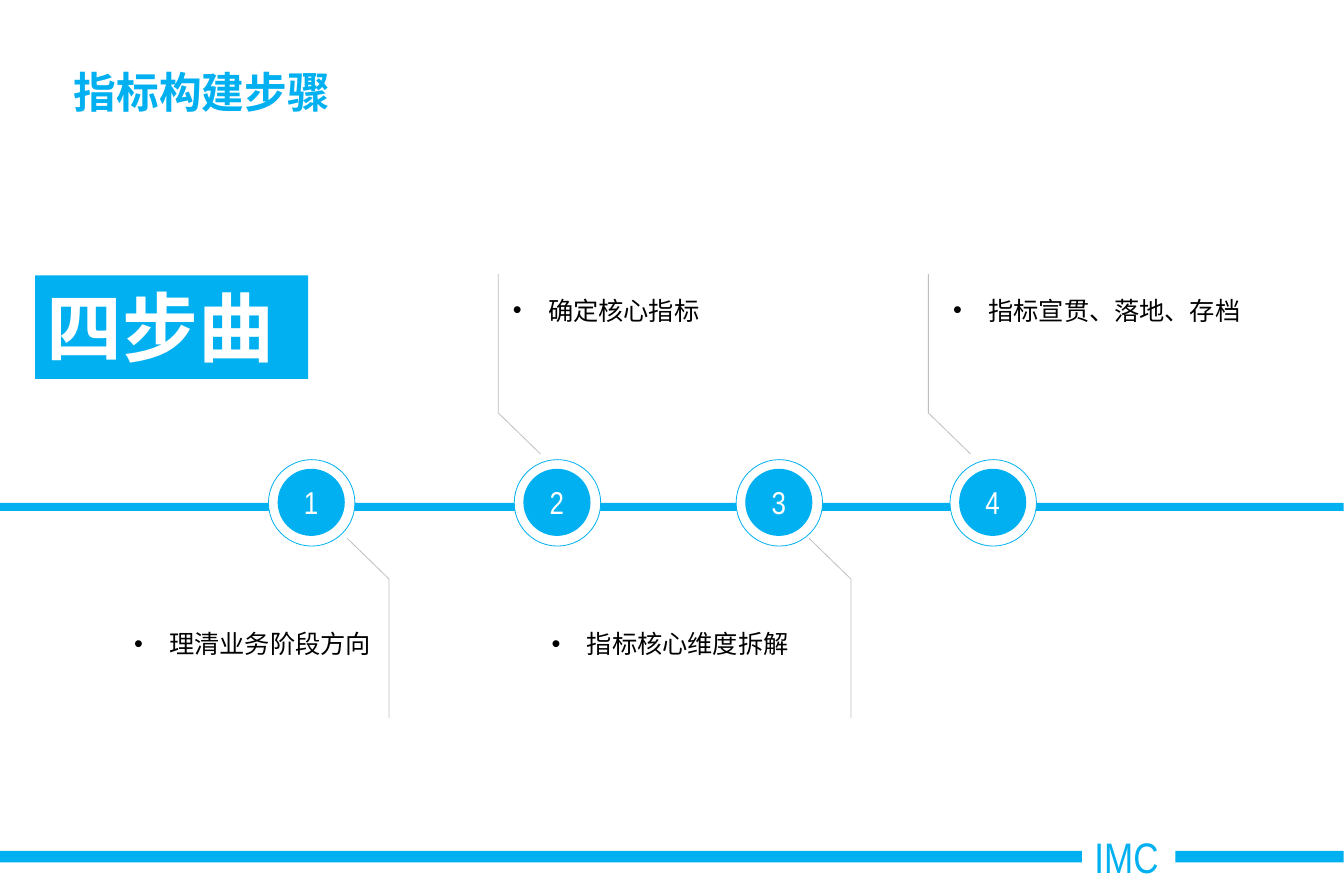
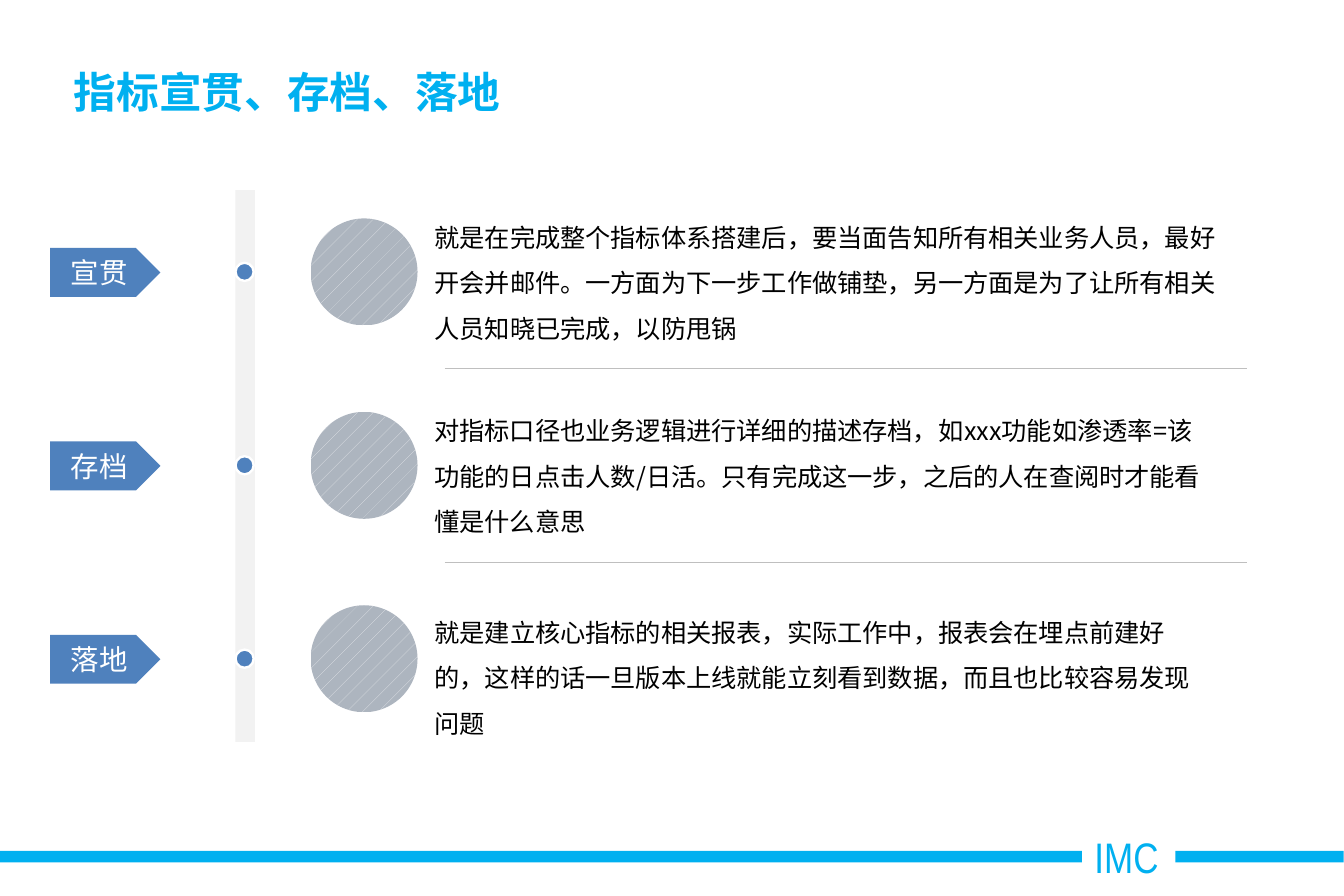
from dataclasses import dataclass

from lxml import etree
from pptx import Presentation
from pptx.dml.color import RGBColor
from pptx.enum.dml import MSO_PATTERN
from pptx.enum.shapes import MSO_CONNECTOR, MSO_SHAPE
from pptx.enum.text import MSO_ANCHOR, MSO_AUTO_SIZE, PP_ALIGN
from pptx.oxml.ns import qn
from pptx.util import Inches, Pt

RECT, OVAL, PENTAGON = MSO_SHAPE.RECTANGLE, MSO_SHAPE.OVAL, MSO_SHAPE.PENTAGON
STRAIGHT = MSO_CONNECTOR.STRAIGHT
TOP, MIDDLE = MSO_ANCHOR.TOP, MSO_ANCHOR.MIDDLE
LEFT, CENTER = PP_ALIGN.LEFT, PP_ALIGN.CENTER
NO_AUTOFIT = MSO_AUTO_SIZE.NONE
DOTTED = MSO_PATTERN.PERCENT_5

EMU_PER_PX = 9144  # 100 px to the inch
SLIDE_HEIGHT = Inches(63 / 8)
SLIDE_WIDTH = SLIDE_HEIGHT * 3 // 2
BAND_WIDTH = 1181
TITLE_ONLY = 5


@dataclass(frozen=True)
class Theme:
    accent: str = "00B0F0"
    blue: str = "4F81BD"
    white: str = "FFFFFF"
    black: str = "000000"
    rail: str = "F2F2F2"
    hairline: str = "BFBFBF"
    pattern_front: str = "E4E6EA"
    pattern_back: str = "ADB5BF"
    font: str = "Noto Sans CJK SC"
    narrow: str = "Arial Narrow"
    title_size: int = 27
    banner_size: int = 48
    number_size: int = 20
    tag_size: int = 18
    body_size: int = 16


THEME = Theme()


def px(length):
    return length * EMU_PER_PX


def rgb(color):
    return RGBColor.from_string(color)


def write(frame, text, size=THEME.body_size, color=THEME.black, font=THEME.font,
          bold=False, align=LEFT, anchor=TOP, spacing=None, bullet=False,
          margins=(10, 5), wrap=True):
    """Put one formatted paragraph into a text frame."""
    frame.auto_size = NO_AUTOFIT
    frame.word_wrap = wrap
    frame.vertical_anchor = anchor
    frame.margin_left = frame.margin_right = px(margins[0])
    frame.margin_top = frame.margin_bottom = px(margins[1])
    para = frame.paragraphs[0]
    properties = para._p.get_or_add_pPr()
    properties.set("hangingPunct", "0")
    if bullet:
        properties.set("marL", str(px(31)))
        properties.set("indent", str(px(-31)))
        etree.SubElement(properties, qn("a:buFont"), typeface="Arial")
        etree.SubElement(properties, qn("a:buChar"), char="•")
    para.alignment = align
    if spacing:
        para.line_spacing = spacing
    span = para.add_run()
    span.text = text
    span.font.size = Pt(size)
    span.font.bold = bold
    span.font.color.rgb = rgb(color)
    span.font.name = font
    etree.SubElement(span._r.get_or_add_rPr(), qn("a:ea"), typeface=font)


class Deck:
    """Holds the presentation, its style and the slide being drawn."""

    def __init__(self, theme):
        self.theme = theme
        self.file = Presentation()
        self.file.slide_width, self.file.slide_height = SLIDE_WIDTH, SLIDE_HEIGHT
        self.layout = self.file.slide_layouts[TITLE_ONLY]
        self.page = None

    def new_page(self, title):
        first = self.page is None
        self.page = self.file.slides.add_slide(self.layout)
        if first:
            self.footer()
        box = self.page.shapes.title
        box.left, box.top, box.width, box.height = map(px, (54, 49, 1063, 62))
        write(box.text_frame, title, size=self.theme.title_size,
              color=self.theme.accent, bold=True, anchor=MIDDLE, margins=(11, 6))

    def footer(self):
        """Draw the footer band once and move it to the shared layout."""
        band = self.shape(RECT, 0, 748, BAND_WIDTH, 10, self.theme.accent)
        label = self.shape(RECT, 951, 724, 82, 57, self.theme.white)
        write(label.text_frame, "IMC", size=self.theme.title_size,
              color=self.theme.accent, font=self.theme.narrow,
              margins=(11, 6), wrap=False)
        for number, part in enumerate((band, label), 90):
            part.element.nvSpPr.cNvPr.id = number
            self.layout.shapes.element.append(part.element)

    def shape(self, kind, left, top, width, height, fill, line=None, weight=1):
        shape = self.page.shapes.add_shape(kind, *map(px, (left, top, width, height)))
        shape.shadow.inherit = False
        shape.fill.solid()
        shape.fill.fore_color.rgb = rgb(fill)
        if line:
            self.outline(shape, line, weight)
        else:
            shape.line.fill.background()
        return shape

    def outline(self, shape, color, weight):
        shape.line.color.rgb = rgb(color)
        shape.line.width = Pt(weight)

    def patterned_circle(self, left, top, size):
        circle = self.shape(OVAL, left, top, size, size, self.theme.pattern_back)
        circle.fill.patterned()
        circle.fill.pattern = DOTTED
        circle.fill.fore_color.rgb = rgb(self.theme.pattern_front)
        circle.fill.back_color.rgb = rgb(self.theme.pattern_back)

    def body(self, text, left, top, width, height, bullet=False):
        box = self.page.shapes.add_textbox(*map(px, (left, top, width, height)))
        write(box.text_frame, text, spacing=1.5, bullet=bullet)

    def leader(self, points):
        builder = self.page.shapes.build_freeform(*points[0], scale=EMU_PER_PX)
        builder.add_line_segments(points[1:], close=False)
        line = builder.convert_to_shape()
        line.shadow.inherit = False
        line.fill.background()
        self.outline(line, self.theme.hairline, 0.5)

    def rule(self, left, right, y):
        line = self.page.shapes.add_connector(STRAIGHT, *map(px, (left, y, right, y)))
        self.outline(line, self.theme.hairline, 0.25)
        etree.SubElement(line.element.spPr, qn("a:effectLst"))


def draw_steps(deck):
    theme = deck.theme
    deck.new_page("指标构建步骤")
    deck.shape(RECT, 0, 442, BAND_WIDTH, 7, theme.accent)
    banner = deck.shape(RECT, 31, 242, 240, 91, theme.accent)
    write(banner.text_frame, "四步曲", size=theme.banner_size,
          color=theme.white, bold=True)

    # Ring left, leader x, text left, text width, text; odd steps hang below
    steps = [
        (236, 342, 108, 235, "理清业务阶段方向"),
        (452, 438, 441, 295, "确定核心指标"),
        (647, 748, 475, 262, "指标核心维度拆解"),
        (835, 816, 828, 304, "指标宣贯、落地、存档"),
    ]
    ring_top, middle = 404, 436
    for number, (ring, leader, left, width, text) in enumerate(steps, 1):
        side = 1 if number % 2 else -1
        deck.shape(OVAL, ring, ring_top, 76, 76, theme.white, theme.accent, 0.5)
        dot = deck.shape(OVAL, ring + 8, ring_top + 8, 59, 59, theme.accent)
        write(dot.text_frame, str(number), size=theme.number_size, color=theme.white,
              font=theme.narrow, align=CENTER, anchor=MIDDLE)
        deck.leader([(leader, middle + side * 195), (leader, middle + side * 73),
                     (leader - side * 37, middle + side * 37)])
        deck.body(text, left, 534 if side > 0 else 241, width, 50, bullet=True)


def draw_rollout(deck):
    theme = deck.theme
    deck.new_page("指标宣贯、存档、落地")
    deck.shape(RECT, 207, 167, 17, 485, theme.rail)

    # Tag, text top, text width, text height, text
    rows = [
        ("宣贯", 177, 721, 131, "就是在完成整个指标体系搭建后，要当面告知所有相关业务人员，最好"
         "开会并邮件。一方面为下一步工作做铺垫，另一方面是为了让所有相关人员知晓已完成，以防甩锅"),
        ("存档", 347, 706, 131, "对指标口径也业务逻辑进行详细的描述存档，如xxx功能如渗透率="
         "该功能的日点击人数/日活。只有完成这一步，之后的人在查阅时才能看懂是什么意思"),
        ("落地", 524, 691, 91, "就是建立核心指标的相关报表，实际工作中，报表会在埋点前建好的，"
         "这样的话一旦版本上线就能立刻看到数据，而且也比较容易发现问题"),
    ]
    pitch = 170
    for index, (name, text_top, width, height, text) in enumerate(rows):
        middle = 239 + index * pitch
        deck.shape(OVAL, 207, middle - 8, 16, 16, theme.blue, theme.white, 1.5)
        tag = deck.shape(PENTAGON, 44, middle - 21, 97, 43, theme.blue)
        write(tag.text_frame, name, size=theme.tag_size, color=theme.white,
              align=CENTER, anchor=MIDDLE)
        deck.patterned_circle(273, middle - 47, 94)
        deck.body(text, 372, text_top, width, height)
        if index < len(rows) - 1:
            deck.rule(391, 1096, middle + pitch // 2)


def main():
    deck = Deck(THEME)
    draw_steps(deck)
    draw_rollout(deck)
    deck.file.save("out.pptx")


if __name__ == "__main__":
    main()
